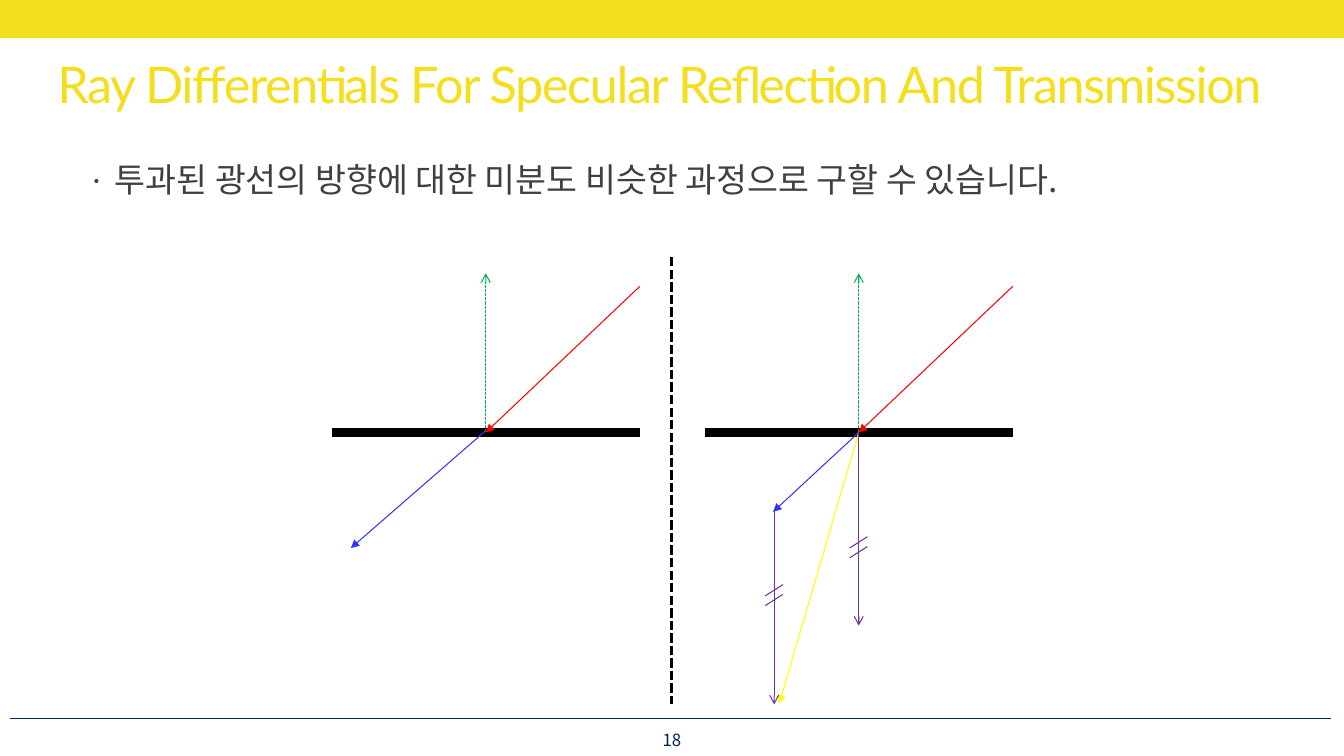
from pptx import Presentation
from pptx.dml.color import RGBColor
from pptx.enum.dml import MSO_LINE
from pptx.enum.shapes import MSO_CONNECTOR, MSO_SHAPE
from pptx.enum.text import MSO_ANCHOR, MSO_AUTO_SIZE, PP_ALIGN
from pptx.oxml.ns import qn
from pptx.util import Pt
from lxml.etree import SubElement

YELLOW = RGBColor(0xF4, 0xDF, 0x1E)
NAVY = RGBColor(0x00, 0x20, 0x60)
GRAY = RGBColor(0x40, 0x40, 0x40)
BLACK = RGBColor(0x00, 0x00, 0x00)
RED = RGBColor(0xFF, 0x00, 0x00)
GREEN = RGBColor(0x00, 0xB0, 0x50)
BLUE = RGBColor(0x33, 0x33, 0xFF)
PURPLE = RGBColor(0x70, 0x30, 0xA0)
RAY_YELLOW = RGBColor(0xFF, 0xFF, 0x00)

LATIN = "Lato"
KOREAN = "Noto Sans CJK KR"
SURFACE_Y = 308.9
LEFT_HIT_X = 347
RIGHT_HIT_X = 613.4


def add_line(s, start, end, color, width=0.75, dashed=False, tail=None):
    line = s.shapes.add_connector(
        MSO_CONNECTOR.STRAIGHT, *[Pt(v) for v in (*start, *end)])
    line.line.color.rgb = color
    line.line.width = Pt(width)
    if dashed:
        line.line.dash_style = MSO_LINE.SQUARE_DOT
    spPr = line._element.spPr
    if tail:
        SubElement(spPr.find(qn("a:ln")), qn("a:tailEnd"), type=tail)
    SubElement(spPr, qn("a:effectLst"))


def add_run(p, text, size, font, color):
    r = p.add_run()
    r.text = text
    r.font.size = Pt(size)
    r.font.name = font
    r.font.color.rgb = color
    SubElement(r._r.get_or_add_rPr(), qn("a:ea"), typeface=font)
    return r


def place(sp, left, top, width, height):
    sp.left, sp.top, sp.width, sp.height = [
        Pt(v) for v in (left, top, width, height)]
    tf = sp.text_frame
    tf.margin_left = tf.margin_top = tf.margin_right = tf.margin_bottom = 0
    tf.word_wrap = True
    tf.auto_size = MSO_AUTO_SIZE.NONE
    return tf


def add_frame(s):
    add_line(s, (7.2, 513.2), (950.4, 513.2), NAVY, 1)
    bar = s.shapes.add_shape(MSO_SHAPE.RECTANGLE, 0, 0, Pt(960), Pt(27.2))
    bar.shadow.inherit = False
    bar.fill.solid()
    bar.fill.fore_color.rgb = YELLOW
    bar.line.fill.background()


def fill_title(sp, text):
    tf = place(sp, 41, 42.3, 878.4, 39.6)
    tf.vertical_anchor = MSO_ANCHOR.MIDDLE
    p = tf.paragraphs[0]
    p.alignment = PP_ALIGN.LEFT
    p.line_spacing = 0.9
    r = add_run(p, text, 36, LATIN, YELLOW)
    r._r.get_or_add_rPr().set("spc", "-100")


def fill_body(sp, text):
    tf = place(sp, 41, 113.8, 878.4, 389.5)
    tf.vertical_anchor = MSO_ANCHOR.TOP
    p = tf.paragraphs[0]
    p.level = 1
    p.space_before = Pt(0)
    pPr = p._p.get_or_add_pPr()
    pPr.set("marL", str(Pt(41)))
    pPr.set("indent", str(-Pt(18.7)))
    SubElement(pPr, qn("a:buSzPct"), val="90000")
    SubElement(pPr, qn("a:buFont"), typeface=KOREAN)
    SubElement(pPr, qn("a:buChar"), char="·")
    add_run(p, text, 24, KOREAN, GRAY)


def add_page_number(s, number):
    sp = s.shapes.add_textbox(Pt(440), Pt(517.7), Pt(80), Pt(22.3))
    p = sp.text_frame.paragraphs[0]
    sp.text_frame.word_wrap = True
    p.alignment = PP_ALIGN.CENTER
    add_run(p, number, 12, KOREAN, NAVY)


def add_incidence(s, hit_x):
    hit = (hit_x, SURFACE_Y)
    add_line(s, (hit_x + 110, SURFACE_Y), (hit_x - 110, SURFACE_Y), BLACK, 6)
    add_line(s, (hit_x + 110, 204.6), hit, RED, tail="triangle")
    add_line(s, hit, (hit_x, 195.2), GREEN, dashed=True, tail="arrow")


def add_equal_vector(s, x, top, mark_y):
    add_line(s, (x, top), (x, top + 138), PURPLE, tail="arrow")
    for y in (mark_y, mark_y + 7):
        add_line(s, (x - 6.4, y + 4), (x + 6.2, y - 4), PURPLE)


def main():
    prs = Presentation()
    prs.slide_width, prs.slide_height = Pt(960), Pt(540)
    s = prs.slides.add_slide(prs.slide_layouts[1])
    add_frame(s)
    fill_title(s.shapes.title,
               "Ray Differentials For Specular Reflection And Transmission")
    fill_body(s.placeholders[1],
              "투과된 광선의 방향에 대한 미분도 비슷한 과정으로 구할 수 있습니다.")
    add_page_number(s, "18")

    add_incidence(s, LEFT_HIT_X)
    add_line(s, (LEFT_HIT_X, 307.6), (250.6, 391.5), BLUE, tail="triangle")

    add_incidence(s, RIGHT_HIT_X)
    hit = (RIGHT_HIT_X, SURFACE_Y)
    add_line(s, hit, (552.2, 365.6), BLUE, tail="triangle")
    add_line(s, hit, (556.6, 502.6), RAY_YELLOW, tail="triangle")
    add_equal_vector(s, RIGHT_HIT_X, SURFACE_Y, 387.4)
    add_equal_vector(s, 553, 365.2, 421.6)

    add_line(s, (479.5, 183.6), (479.5, 502.6), BLACK, 2.25, dashed=True)
    prs.save("out.pptx")


if __name__ == "__main__":
    main()
